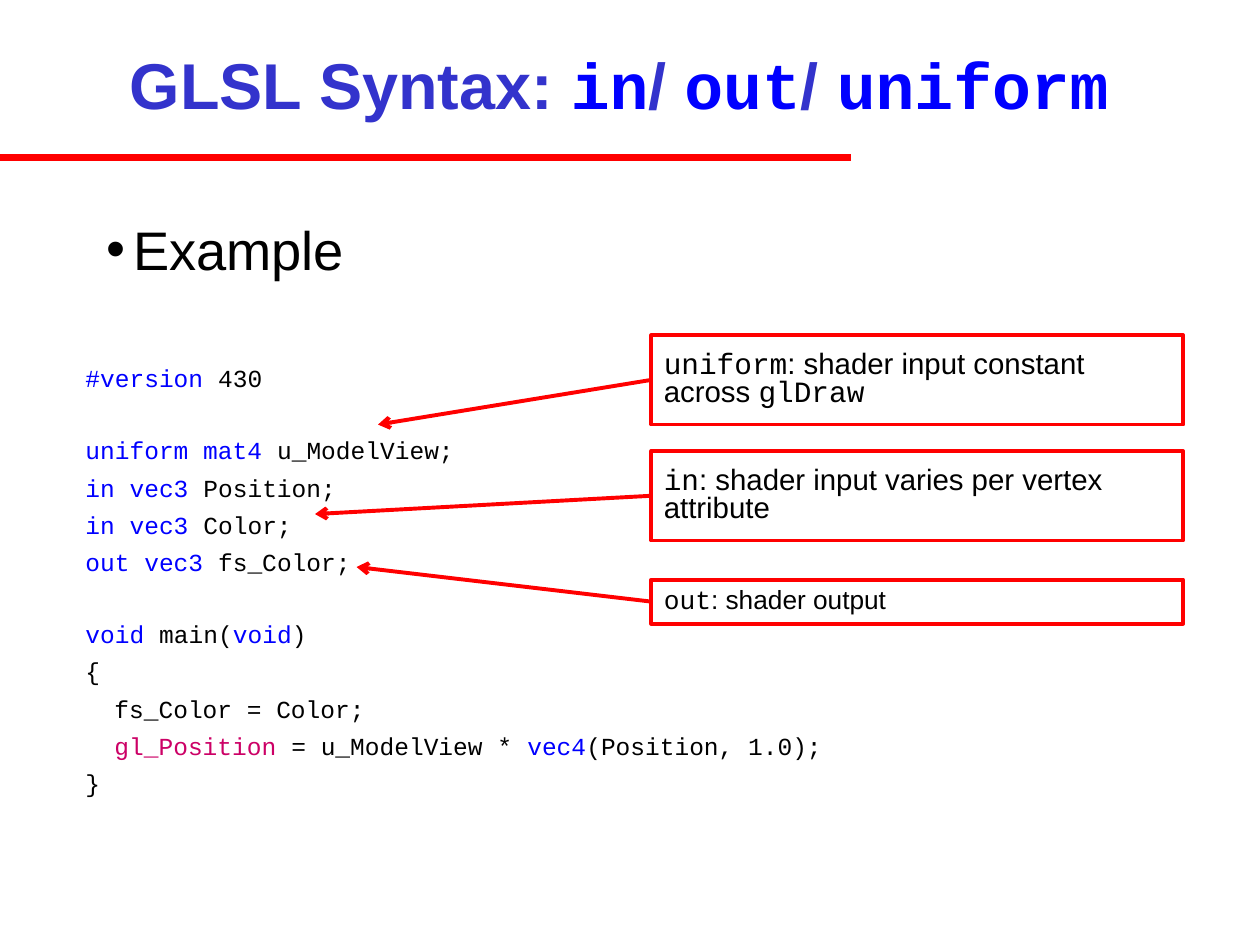
"""Build the GLSL in/out/uniform syntax slide."""
from dataclasses import dataclass

from lxml.etree import SubElement
from pptx import Presentation
from pptx.dml.color import RGBColor as Rgb
from pptx.enum.shapes import MSO_CONNECTOR as Connector, MSO_SHAPE as Preset
from pptx.enum.text import MSO_ANCHOR as Anchor, MSO_AUTO_SIZE as AutoSize, PP_ALIGN as Align
from pptx.oxml.ns import qn
from pptx.util import Inches, Pt


@dataclass(frozen=True)
class Theme:
    sans: str = "Arial"
    mono: str = "Courier New"
    heading: str = "3333CC"
    keyword: str = "0000FF"
    builtin: str = "CC0066"
    ink: str = "000000"
    paper: str = "FFFFFF"
    accent: str = "FF0000"
    title_size: float = 37
    bullet_size: float = 31
    code_size: float = 14
    note_size: float = 16.8
    small_note_size: float = 15
    rule_width: float = 4
    line_width: float = 2.25
    bullet_gap: float = 7.7
    code_gap: float = 4.4
    code_line: float = 15.9


THEME = Theme()


@dataclass(frozen=True)
class Span:
    text: str
    font: str = THEME.mono
    color: str = THEME.ink


@dataclass(frozen=True)
class CodeLine:
    spans: tuple[Span, ...]
    indent: float = 0
    after_gap: bool = False


@dataclass(frozen=True)
class Callout:
    spans: tuple[Span, ...]
    top: float
    height: float
    target: tuple[float, float]
    size: float = THEME.note_size


def keyword(text: str) -> Span:
    return Span(text, color=THEME.keyword)


def prose(text: str, color: str = THEME.ink) -> Span:
    return Span(text, THEME.sans, color)


TITLE = (
    prose("GLSL Syntax: ", THEME.heading), keyword("in"),
    prose("/ ", THEME.heading), keyword("out"),
    prose("/ ", THEME.heading), keyword("uniform"),
)
STEP = 0.23
CODE = (
    CodeLine((keyword("#version"), Span(" 430"))),
    CodeLine((keyword("uniform mat4"), Span(" u_ModelView;")), after_gap=True),
    CodeLine((keyword("in vec3"), Span(" Position;"))),
    CodeLine((keyword("in vec3"), Span(" Color;"))),
    CodeLine((keyword("out vec3"), Span(" fs_Color;"))),
    CodeLine((keyword("void"), Span(" main("), keyword("void"), Span(")")), after_gap=True),
    CodeLine((Span("{"),)),
    CodeLine((Span("fs_Color = Color;"),), STEP),
    CodeLine((Span("gl_Position", color=THEME.builtin), Span(" = u_ModelView * "),
              keyword("vec4"), Span("(Position, 1.0);")), STEP),
    CodeLine((Span("}"),)),
)
CALLOUTS = (
    Callout((Span("uniform"), prose(": shader input constant across "), Span("glDraw")),
            2.66, 0.71, (3, 3.37)),
    Callout((Span("in"), prose(": shader input varies per vertex attribute")),
            3.58, 0.71, (2.5, 4.08)),
    Callout((Span("out"), prose(": shader output")),
            4.6, 0.35, (2.83, 4.5), THEME.small_note_size),
)


def add_spans(paragraph, spans: tuple[Span, ...], size: float, bold: bool = False) -> None:
    for span in spans:
        run = paragraph.add_run()
        run.text = span.text
        run.font.name = span.font
        run.font.size = Pt(size)
        run.font.bold = bold
        run.font.color.rgb = Rgb.from_string(span.color)


def set_indent(paragraph, margin: float, first: float):
    properties = paragraph._p.get_or_add_pPr()
    properties.set("marL", str(Inches(margin)))
    properties.set("indent", str(Inches(first)))
    return properties


def add_line(slide, start: tuple[float, float], end: tuple[float, float],
             width: float, arrow: bool = False):
    line = slide.shapes.add_connector(
        Connector.STRAIGHT, *(Inches(value) for value in (*start, *end)))
    line.line.color.rgb = Rgb.from_string(THEME.accent)
    line.line.width = Pt(width)
    SubElement(line._element.spPr, qn("a:effectLst"))
    if arrow:
        SubElement(line.line._get_or_add_ln(), qn("a:tailEnd"), type="arrow")
    return line


def add_title(slide) -> None:
    title = slide.shapes.title
    title.left, title.top = Inches(0), Inches(0.08)
    title.width, title.height = Inches(9.83), Inches(1.17)
    frame = title.text_frame
    frame.auto_size = AutoSize.NONE
    frame.vertical_anchor = Anchor.MIDDLE
    heading = frame.paragraphs[0]
    heading.alignment = Align.CENTER
    add_spans(heading, TITLE, THEME.title_size, bold=True)


def add_text_area(slide, left: float, top: float, width: float, height: float):
    area = slide.shapes.add_textbox(Inches(left), Inches(top), Inches(width), Inches(height))
    area.text_frame.word_wrap = True
    return area.text_frame


def add_bullet(slide) -> None:
    bullet = add_text_area(slide, 0.75, 1.67, 8.5, 5.17).paragraphs[0]
    bullet.space_before = Pt(THEME.bullet_gap)
    properties = set_indent(bullet, 0.21, -0.21)
    SubElement(properties, qn("a:buFont"), typeface=THEME.sans)
    SubElement(properties, qn("a:buChar"), char="•")
    add_spans(bullet, (prose("Example"),), THEME.bullet_size)


def add_code(slide) -> None:
    frame = add_text_area(slide, 0.58, 2.83, 9.25, 4.25)
    for index, line in enumerate(CODE):
        paragraph = frame.add_paragraph() if index else frame.paragraphs[0]
        skipped = THEME.code_gap + THEME.code_line if line.after_gap else 0
        paragraph.space_before = Pt(THEME.code_gap + skipped)
        set_indent(paragraph, 0.38 + line.indent, -0.38)
        add_spans(paragraph, line.spans, THEME.code_size)


def add_callout(slide, callout: Callout) -> None:
    left = 5.17
    note = slide.shapes.add_shape(Preset.RECTANGLE, Inches(left), Inches(callout.top),
                                  Inches(4.22), Inches(callout.height))
    note.shadow.inherit = False
    note.fill.solid()
    note.fill.fore_color.rgb = Rgb.from_string(THEME.paper)
    note.line.color.rgb = Rgb.from_string(THEME.accent)
    note.line.width = Pt(THEME.line_width)
    note.text_frame.word_wrap = True
    note.text_frame.vertical_anchor = Anchor.MIDDLE
    wording = note.text_frame.paragraphs[0]
    wording.alignment = Align.LEFT
    wording.line_spacing = 0.8
    add_spans(wording, callout.spans, callout.size)
    middle = callout.top + callout.height / 2
    pointer = add_line(slide, (left, middle), callout.target, THEME.line_width, arrow=True)
    pointer.begin_connect(note, 1)


def main() -> None:
    deck = Presentation()
    deck.slide_width, deck.slide_height = Inches(10), Inches(7.5)
    slide = deck.slides.add_slide(deck.slide_layouts[5])
    add_line(slide, (0, 1.25), (6.75, 1.25), THEME.rule_width)
    add_title(slide)
    add_bullet(slide)
    add_code(slide)
    for callout in CALLOUTS:
        add_callout(slide, callout)
    deck.save("out.pptx")


if __name__ == "__main__":
    main()
